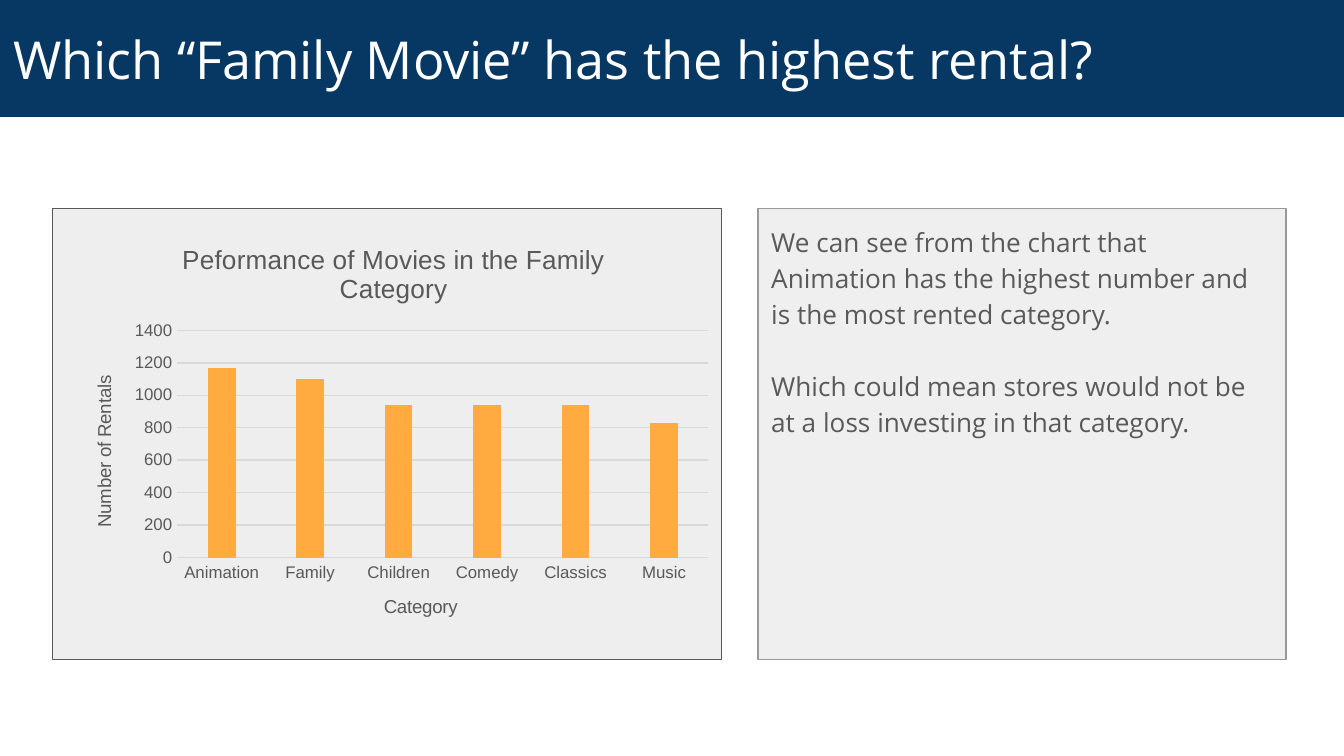
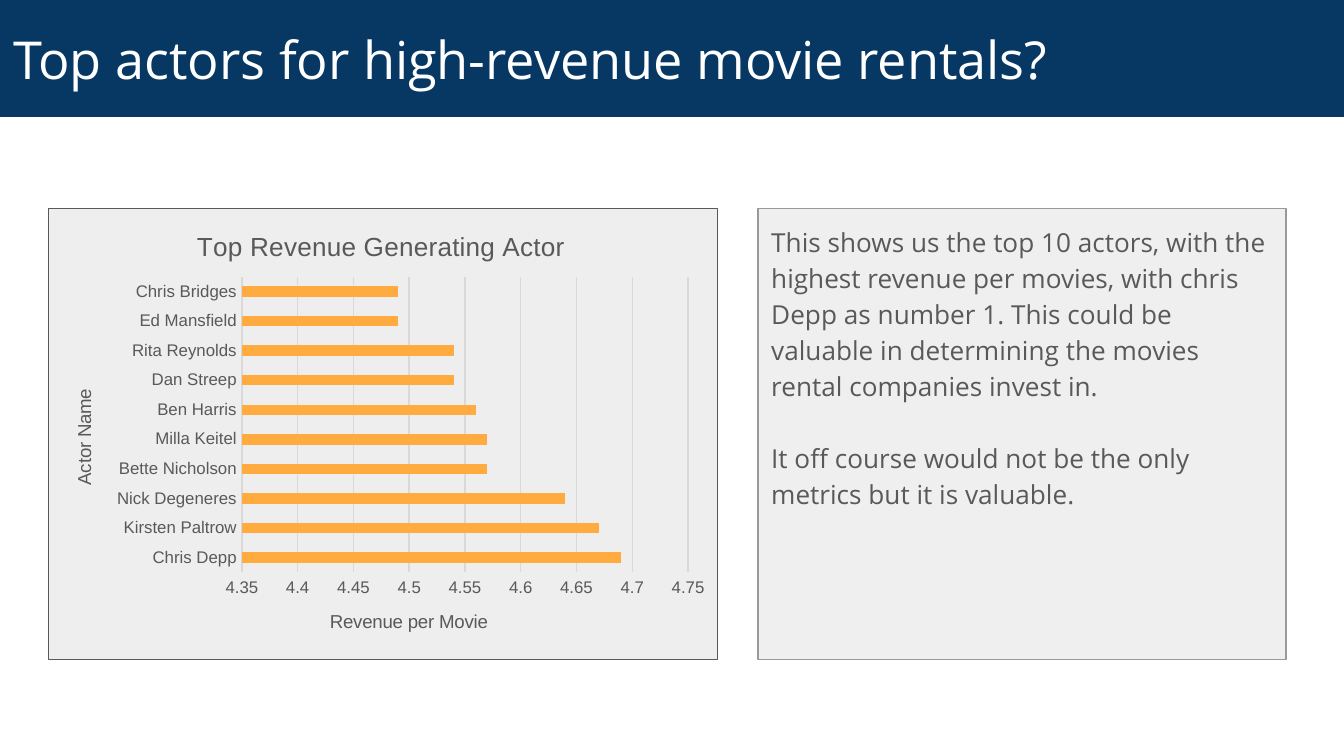
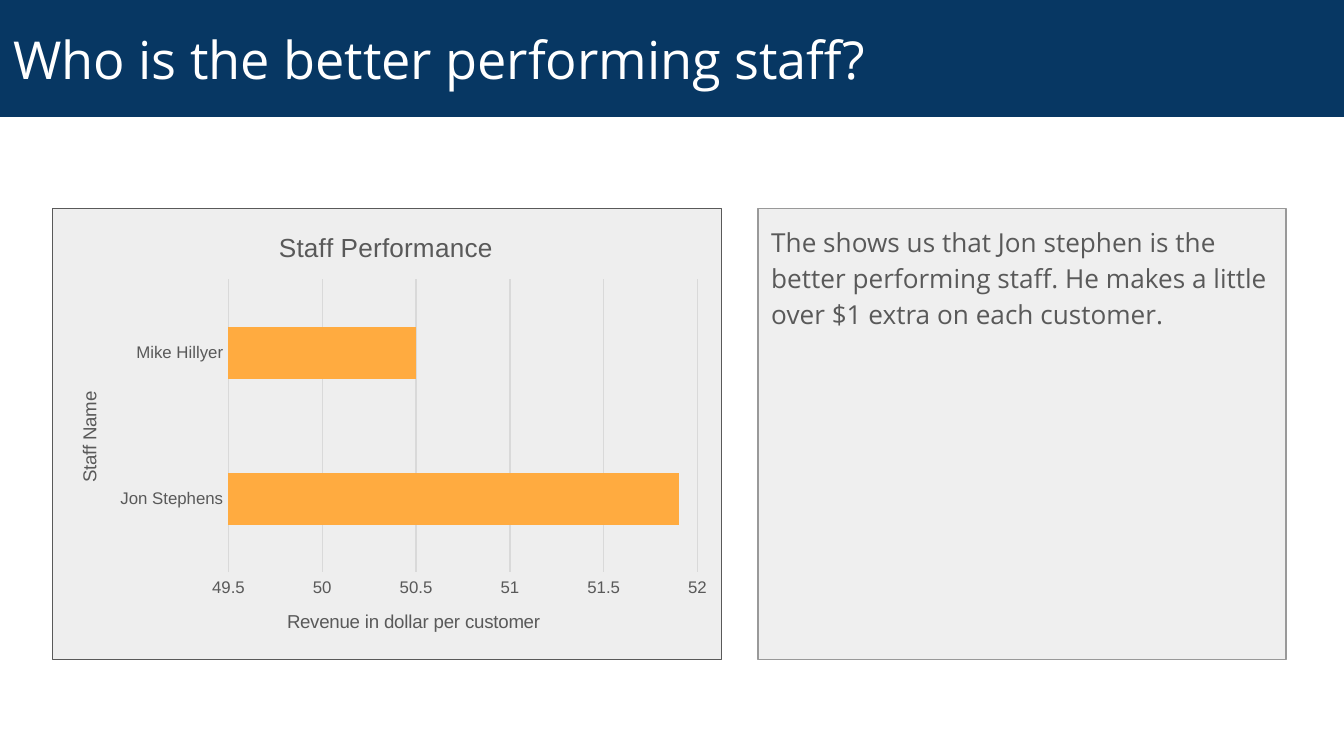
"""Build three movie rental slides, each with a chart and a comment."""

from lxml.etree import SubElement
from pptx import Presentation
from pptx.chart.data import CategoryChartData
from pptx.dml.color import RGBColor
from pptx.enum.chart import XL_CHART_TYPE, XL_TICK_MARK
from pptx.enum.shapes import MSO_SHAPE
from pptx.enum.text import MSO_ANCHOR, PP_ALIGN
from pptx.oxml.ns import qn
from pptx.util import Inches, Pt

NAVY = RGBColor(0x07, 0x37, 0x63)
WHITE = RGBColor(0xFF, 0xFF, 0xFF)
PANEL_GRAY = RGBColor(0xEE, 0xEE, 0xEE)
COMMENT_GRAY = RGBColor(0xEF, 0xEF, 0xEF)
COMMENT_EDGE = RGBColor(0x99, 0x99, 0x99)
TEXT_GRAY = RGBColor(0x59, 0x59, 0x59)
GRID_GRAY = RGBColor(0xD9, 0xD9, 0xD9)
ORANGE = RGBColor(0xFF, 0xAB, 0x40)

TEXT_FONT = "Open Sans"
CHART_FONT = "Arial"
SLIDE_WIDTH = 10
SLIDE_HEIGHT = SLIDE_WIDTH * 9 / 16
TITLE_BAND = (0, 0, SLIDE_WIDTH, 0.87)
COMMENT_BOX = (5.64, 1.55, 3.93, 3.36)
PANEL_TOP, PANEL_WIDTH, PANEL_HEIGHT = 1.55, 4.98, 3.36

SLIDES = [
    {
        "title": "Which “Family Movie” has the highest rental?",
        "comment": [
            "We can see from the chart that Animation has the highest number and is the most rented category.",
            "Which could mean stores would not be at a loss investing in that category.",
        ],
        "panel_left": 0.39,
        "chart": {
            "type": XL_CHART_TYPE.COLUMN_CLUSTERED,
            "box": (0.49, 1.66, 4.88, 3.14),
            "plot": (1.32, 2.46, 3.95, 1.69),
            "title": ("Peformance of Movies in the Family Category", 1.32, 1.77),
            "category_title": ("Category", 2.83, 4.4),
            "value_title": ("Number of Rentals", 0.66, 2.77),
            "scale": (0, 1400, 200),
            "gap": 219,
            "overlap": -27,
            "values": {"Animation": 1170, "Family": 1100, "Children": 940,
                       "Comedy": 940, "Classics": 940, "Music": 830},
        },
    },
    {
        "title": "Top actors for high-revenue movie rentals?",
        "comment": [
            "This shows us the top 10 actors, with the highest revenue per movies, with chris Depp as number 1. "
            "This could be valuable in determining the movies rental companies invest in.",
            "It off course would not be the only metrics but it is valuable.",
        ],
        "panel_left": 0.36,
        "chart": {
            "type": XL_CHART_TYPE.BAR_CLUSTERED,
            "box": (0.33, 1.55, 5, 3.36),
            "plot": (1.8, 2.06, 3.32, 2.2),
            "title": ("Top Revenue Generating Actor", 1.43, 1.67),
            "category_title": ("Actor Name", 0.51, 2.87),
            "value_title": ("Revenue per Movie", 2.43, 4.51),
            "scale": (4.35, 4.75, 0.05),
            "gap": 182,
            "overlap": 0,
            "values": {"Chris Depp": 4.69, "Kirsten Paltrow": 4.67, "Nick Degeneres": 4.64,
                       "Bette Nicholson": 4.57, "Milla Keitel": 4.57, "Ben Harris": 4.56,
                       "Dan Streep": 4.54, "Rita Reynolds": 4.54, "Ed Mansfield": 4.49,
                       "Chris Bridges": 4.49},
        },
    },
    {
        "title": "Who is the better performing staff?",
        "comment": [
            "The shows us that Jon stephen is the better performing staff. "
            "He makes a little over $1 extra on each customer.",
        ],
        "panel_left": 0.39,
        "chart": {
            "type": XL_CHART_TYPE.BAR_CLUSTERED,
            "box": (0.38, 1.55, 4.99, 3.36),
            "plot": (1.7, 2.08, 3.49, 2.18),
            "title": ("Staff Performance", 2.04, 1.68),
            "category_title": ("Staff Name", 0.55, 2.89),
            "value_title": ("Revenue in dollar per customer", 2.11, 4.51),
            "scale": (49.5, 52, 0.5),
            "gap": 182,
            "overlap": 0,
            "values": {"Jon Stephens": 51.9, "Mike Hillyer": 50.5},
        },
    },
]


def style_font(font, name, size, color):
    font.name = name
    font.size = Pt(size)
    font.bold = False
    font.color.rgb = color


def add_box(slide, box, fill, edge=None):
    shape = slide.shapes.add_shape(MSO_SHAPE.RECTANGLE, *map(Inches, box))
    shape.shadow.inherit = False
    shape.fill.solid()
    shape.fill.fore_color.rgb = fill
    if edge is None:
        shape.line.fill.background()
    else:
        shape.line.color.rgb = edge
        shape.line.width = Pt(0.75)
    return shape


def write_paragraphs(shape, texts, size, color, anchor, line_spacing):
    text_frame = shape.text_frame
    text_frame.word_wrap = True
    text_frame.vertical_anchor = anchor
    text_frame.margin_left = text_frame.margin_right = Inches(0.1)
    text_frame.margin_top = text_frame.margin_bottom = Inches(0.1)
    text_frame.text = "\n".join(texts)
    for paragraph in text_frame.paragraphs:
        paragraph.alignment = PP_ALIGN.LEFT
        paragraph.line_spacing = line_spacing
        style_font(paragraph.runs[0].font, TEXT_FONT, size, color)
    for paragraph in text_frame.paragraphs[1:]:
        paragraph.space_before = Pt(19)


def set_layout(element, box, chart_box, index):
    """Place a chart part by slide inches, as fractions of the chart."""
    for layout in element.findall(qn("c:layout")):
        element.remove(layout)
    layout = element.makeelement(qn("c:layout"), {})
    element.insert(index, layout)
    manual = SubElement(layout, qn("c:manualLayout"))
    left, top, width, height = chart_box
    settings = [("xMode", "edge"), ("yMode", "edge"),
                ("x", (box[0] - left) / width), ("y", (box[1] - top) / height)]
    if len(box) == 4:
        settings.insert(0, ("layoutTarget", "inner"))
        settings += [("w", box[2] / width), ("h", box[3] / height)]
    for name, value in settings:
        SubElement(manual, qn("c:" + name)).set("val", str(value))


def write_chart_title(title, content, size, chart_box, upright=False):
    text, left, top = content
    title.text_frame.text = text
    style_font(title.text_frame.paragraphs[0].runs[0].font, CHART_FONT, size, TEXT_GRAY)
    element = title._element
    if upright:
        body = next(element.iter(qn("a:bodyPr")))
        body.set("rot", "-5400000")
        body.set("vert", "horz")
    set_layout(element, (left, top), chart_box, 1)


def style_axis(axis, title, chart_box, upright):
    axis.major_tick_mark = axis.minor_tick_mark = XL_TICK_MARK.NONE
    style_font(axis.tick_labels.font, CHART_FONT, 9, TEXT_GRAY)
    write_chart_title(axis.axis_title, title, 10, chart_box, upright)


def add_rental_chart(slide, content):
    data = CategoryChartData()
    data.categories = list(content["values"])
    data.add_series("Series 1", list(content["values"].values()))
    box = content["box"]
    chart = slide.shapes.add_chart(content["type"], *map(Inches, box), data).chart
    style_font(chart.font, CHART_FONT, 10, TEXT_GRAY)
    chart.has_legend = False
    chart.has_title = True
    write_chart_title(chart.chart_title, content["title"], 14, box)

    is_column = content["type"] == XL_CHART_TYPE.COLUMN_CLUSTERED
    category_axis, value_axis = chart.category_axis, chart.value_axis
    style_axis(category_axis, content["category_title"], box, not is_column)
    style_axis(value_axis, content["value_title"], box, is_column)
    category_axis.has_major_gridlines = False
    value_axis.has_major_gridlines = True
    for line in (category_axis.format.line, value_axis.major_gridlines.format.line):
        line.color.rgb = GRID_GRAY
        line.width = Pt(0.75)
    value_axis.format.line.fill.background()
    value_axis.minimum_scale, value_axis.maximum_scale, value_axis.major_unit = content["scale"]
    value_axis.tick_labels.number_format = "General"
    value_axis.tick_labels.number_format_is_linked = False

    plot = chart.plots[0]
    plot.vary_by_categories = False
    plot.gap_width = content["gap"]
    plot.overlap = content["overlap"]
    series = plot.series[0]
    series.invert_if_negative = False
    series.format.fill.solid()
    series.format.fill.fore_color.rgb = ORANGE

    chart_element = chart._chartSpace.find(qn("c:chart"))
    set_layout(chart_element.find(qn("c:plotArea")), content["plot"], box, 0)
    background = chart_element.makeelement(qn("c:spPr"), {})
    SubElement(background, qn("a:noFill"))
    SubElement(SubElement(background, qn("a:ln")), qn("a:noFill"))
    chart_element.addnext(background)


def build_slide(presentation, content):
    slide = presentation.slides.add_slide(presentation.slide_layouts[6])
    comment = add_box(slide, COMMENT_BOX, COMMENT_GRAY, COMMENT_EDGE)
    write_paragraphs(comment, content["comment"], 14, TEXT_GRAY, MSO_ANCHOR.TOP, 1.15)
    panel_box = (content["panel_left"], PANEL_TOP, PANEL_WIDTH, PANEL_HEIGHT)
    add_box(slide, panel_box, PANEL_GRAY, TEXT_GRAY)
    title_band = add_box(slide, TITLE_BAND, NAVY)
    write_paragraphs(title_band, [content["title"]], 28, WHITE, MSO_ANCHOR.MIDDLE, 1.0)
    add_rental_chart(slide, content["chart"])


def main():
    presentation = Presentation()
    presentation.slide_width = Inches(SLIDE_WIDTH)
    presentation.slide_height = Inches(SLIDE_HEIGHT)
    for content in SLIDES:
        build_slide(presentation, content)
    presentation.save("out.pptx")


if __name__ == "__main__":
    main()
